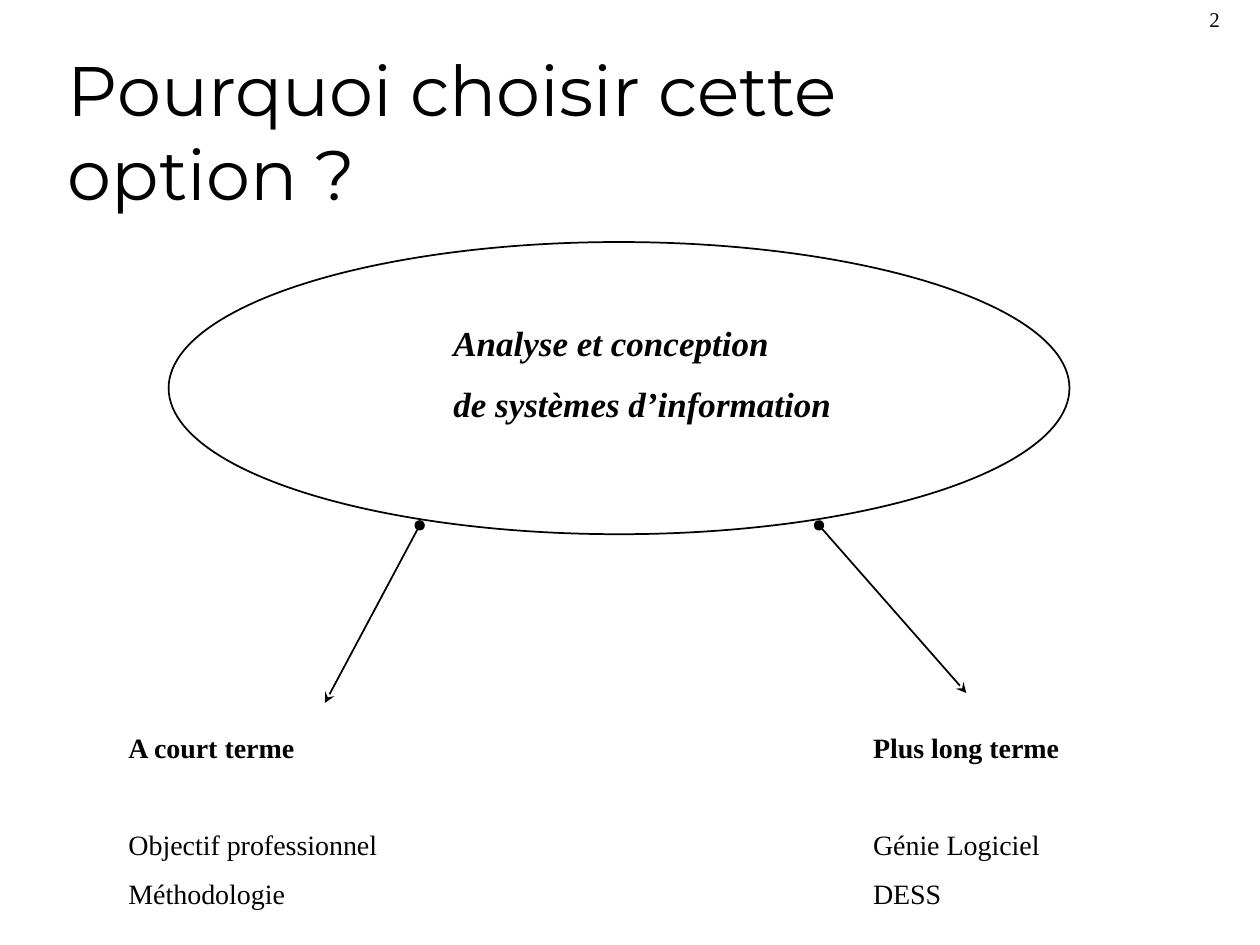
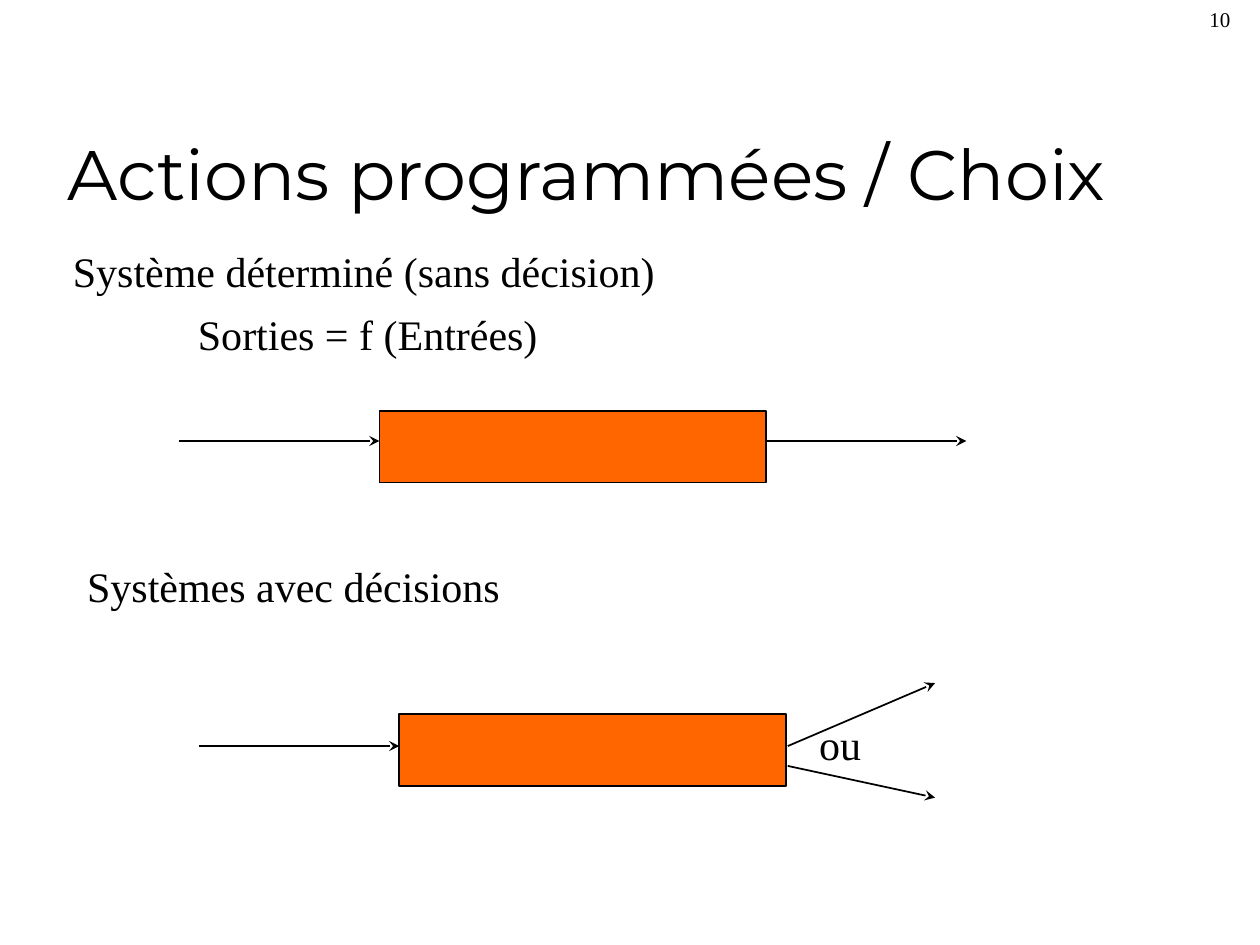
from lxml import etree
from pptx import Presentation, util as u
from pptx.dml.color import RGBColor
from pptx.enum import shapes, text
from pptx.oxml import ns

BLACK, ORANGE = "000000", "FF6600"
TITLE_FONT, BODY_FONT = "Montserrat", "Times New Roman"
TITLES = [("Pourquoi choisir cette option ?", "2"),
          ("Actions programmées / Choix", "10")]
color = RGBColor.from_string


def write(slide, lines, left, top, width, height, size, font=BODY_FONT, bold_lines=0,
          italic=False, heading_gap=None, wrap=True, centered=False, bottom=False):
    """Add a text box; the first bold_lines lines are bold, heading_gap (pt) follows line one."""
    frame = slide.shapes.add_textbox(u.Cm(left), u.Cm(top), u.Cm(width), u.Cm(height)).text_frame
    frame.word_wrap = wrap
    frame.vertical_anchor = text.MSO_ANCHOR.BOTTOM if bottom else text.MSO_ANCHOR.TOP
    for i, line in enumerate(lines):
        paragraph = frame.paragraphs[0] if i == 0 else frame.add_paragraph()
        paragraph.alignment = text.PP_ALIGN.CENTER if centered else text.PP_ALIGN.LEFT
        if i:
            paragraph.space_before = u.Pt(heading_gap if i == 1 and heading_gap else 0.54 * size)
        run = paragraph.add_run()
        run.text = line
        run.font.name, run.font.size = font, u.Pt(size)
        run.font.bold, run.font.italic = i < bold_lines, italic
        run.font.color.rgb = color(BLACK)


def draw_arrow(slide, x1, y1, x2, y2, dot_at_start=False):
    arrow = slide.shapes.add_connector(shapes.MSO_CONNECTOR.STRAIGHT,
                                       u.Cm(x1), u.Cm(y1), u.Cm(x2), u.Cm(y2))
    arrow.line.color.rgb = color(BLACK)
    arrow.line.width = u.Pt(1)
    outline = arrow.line._get_or_add_ln()
    if dot_at_start:
        etree.SubElement(outline, ns.qn("a:headEnd"), type="oval")
    etree.SubElement(outline, ns.qn("a:tailEnd"), type="stealth")
    etree.SubElement(arrow._element.spPr, ns.qn("a:effectLst"))


deck = Presentation()
deck.slide_width, deck.slide_height = u.Cm(25.4), u.Cm(19.05)

# Title and page number on every slide
for title, number in TITLES:
    slide = deck.slides.add_slide(deck.slide_layouts[6])
    write(slide, [title], 1.12, 0.64, 21.59, 3.81, 40, font=TITLE_FONT, bottom=True)
    write(slide, [number], 24.13, 0, 1.27, 0.76, 12)
reasons, systems = deck.slides

# Why choose this option: subject, then short-term and long-term reasons
subject = reasons.shapes.add_shape(shapes.MSO_SHAPE.OVAL,
                                   u.Cm(3.4), u.Cm(4.88), u.Cm(18.16), u.Cm(5.89))
subject.shadow.inherit = False
subject.fill.background()
subject.line.color.rgb = color(BLACK)
subject.line.width = u.Pt(1)
write(reasons, ["Analyse et conception", "de systèmes d’information"],
      8.89, 6.35, 12.27, 2.36, 20, bold_lines=2, italic=True)

for start_x, end_x, end_y, left, width, lines in [
    (8.46, 6.55, 14.17, 2.34, 9.32, ["A court terme", "Objectif professionnel", "Méthodologie"]),
    (16.51, 19.48, 13.97, 17.35, 7.21, ["Plus long terme", "Génie Logiciel", "DESS"]),
]:
    draw_arrow(reasons, start_x, 10.59, end_x, end_y, dot_at_start=True)
    write(reasons, lines, left, 14.61, width, 3.99, 16, bold_lines=1, heading_gap=36)

# Systems without and with decisions
for label, left, top, width, centered in [
    ("Système déterminé (sans décision)", 1.22, 4.83, 12.24, False),
    ("Sorties = f (Entrées)", 3.73, 6.1, 7.37, True),
    ("Systèmes avec décisions", 1.5, 11.18, 8.84, True),
    ("ou", 16.26, 14.35, 1.35, True),
]:
    write(systems, [label], left, top, width, 1.27, 24, wrap=False, centered=centered)

for left, top, entry_y, exits in [
    (7.65, 8.28, 8.89, [(15.44, 8.89, 19.48, 8.89)]),
    (8.05, 14.4, 15.04, [(15.88, 15.04, 18.85, 13.77), (15.88, 15.44, 18.85, 16.08)]),
]:
    process = systems.shapes.add_shape(shapes.MSO_SHAPE.RECTANGLE,
                                       u.Cm(left), u.Cm(top), u.Cm(7.8), u.Cm(1.45))
    process.shadow.inherit = False
    process.fill.solid()
    process.fill.fore_color.rgb = color(ORANGE)
    process.line.color.rgb = color(BLACK)
    process.line.width = u.Pt(1)
    draw_arrow(systems, left - 4.04, entry_y, left, entry_y)
    for way_out in exits:
        draw_arrow(systems, *way_out)

deck.save("out.pptx")
